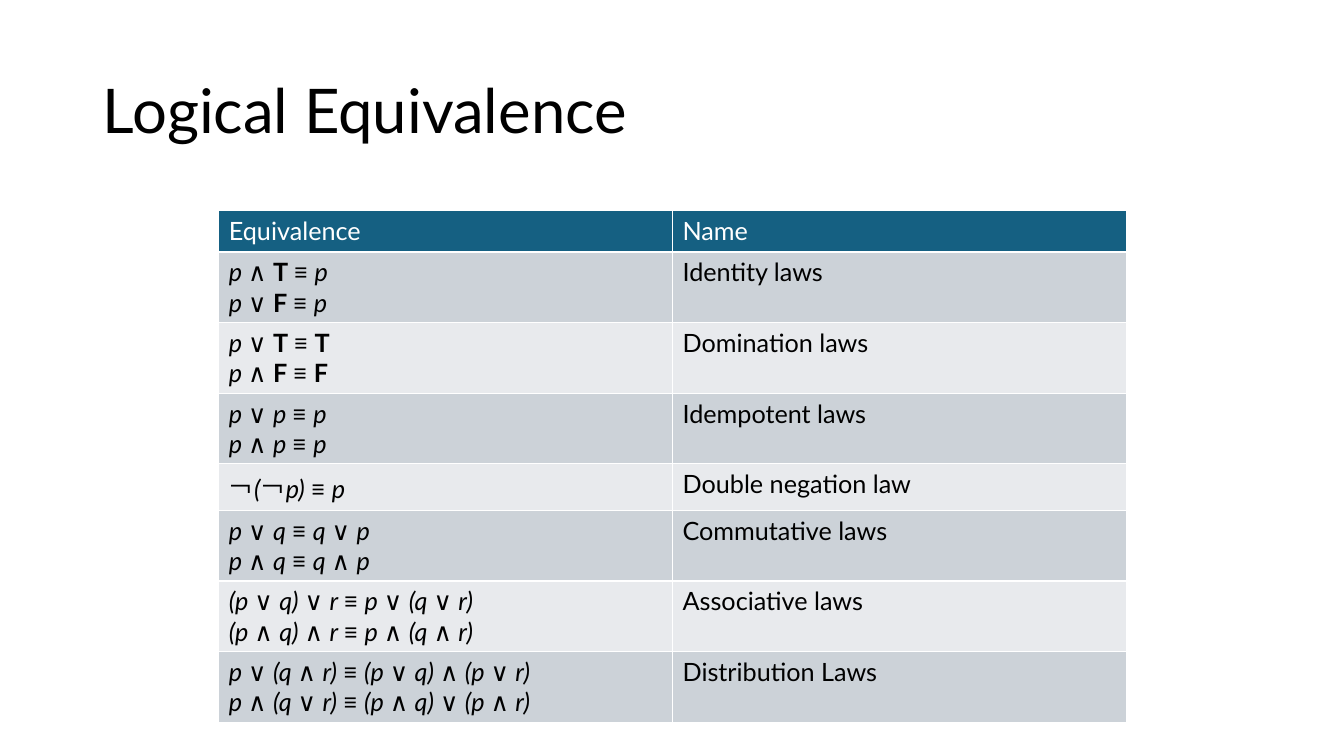
from dataclasses import dataclass
from itertools import groupby

from pptx import Presentation
from pptx.dml.color import RGBColor
from pptx.enum.text import MSO_ANCHOR, MSO_AUTO_SIZE, PP_ALIGN
from pptx.util import Inches, Pt

LEFT = PP_ALIGN.LEFT
MIDDLE = MSO_ANCHOR.MIDDLE
NO_AUTOFIT = MSO_AUTO_SIZE.NONE
TITLE_ONLY = 5


@dataclass(frozen=True)
class Theme:
    font: str = "Lato"
    title_size: int = 44
    table_size: int = 18
    dark: str = "000000"
    light: str = "FFFFFF"
    header: str = "156082"
    bands: tuple = ("CCD2D8", "E8EAED")


THEME = Theme()
SLIDE_SIZE = (13.33, 7.5)
TITLE_BOX = (0.92, 0.4, 11.5, 1.45)
TABLE_BOX = (2.17, 2.09, 9, 5.01)
ROW_HEIGHT = 0.41
OPERATORS = "∧∨≡￢"
CONSTANTS = "TF"
STYLES = {
    "operator": {"italic": False, "bold": False},
    "constant": {"italic": False, "bold": True},
    "variable": {"italic": True, "bold": False},
}
HEADINGS = ("Equivalence", "Name")
LAWS = [
    (["p ∧ T ≡ p", "p ∨ F ≡ p"], "Identity laws"),
    (["p ∨ T ≡ T", "p ∧ F ≡ F"], "Domination laws"),
    (["p ∨ p ≡ p", "p ∧ p ≡ p"], "Idempotent laws"),
    (["￢(￢p) ≡ p"], "Double negation law"),
    (["p ∨ q ≡ q ∨ p", "p ∧ q ≡ q ∧ p"], "Commutative laws"),
    (["(p ∨ q) ∨ r ≡ p ∨ (q ∨ r)", "(p ∧ q) ∧ r ≡ p ∧ (q ∧ r)"], "Associative laws"),
    (["p ∨ (q ∧ r) ≡ (p ∨ q) ∧ (p ∨ r)", "p ∧ (q ∨ r) ≡ (p ∧ q) ∨ (p ∧ r)"],
     "Distribution Laws"),
]


def set_font(font, size, color, **style):
    values = {"name": THEME.font, "size": Pt(size), **style}
    for name, value in values.items():
        setattr(font, name, value)
    font.color.rgb = RGBColor.from_string(color)


def symbol_kinds(formula):
    kind = "variable"
    for symbol in formula:
        if symbol in OPERATORS:
            kind = "operator"
        elif symbol in CONSTANTS:
            kind = "constant"
        elif symbol != " ":
            kind = "variable"
        yield kind, symbol


def write_formula(paragraph, formula):
    for kind, symbols in groupby(symbol_kinds(formula), key=lambda pair: pair[0]):
        run = paragraph.add_run()
        run.text = "".join(symbol for _, symbol in symbols)
        set_font(run.font, THEME.table_size, THEME.dark, **STYLES[kind])


def write_label(cell, text, color, **style):
    run = cell.text_frame.paragraphs[0].add_run()
    run.text = text
    set_font(run.font, THEME.table_size, color, **style)


def fill_cell(cell, color):
    cell.fill.solid()
    cell.fill.fore_color.rgb = RGBColor.from_string(color)


def add_title(slide, box, text):
    title = slide.shapes.title
    for name, value in zip(("left", "top", "width", "height"), box):
        setattr(title, name, Inches(value))
    frame = title.text_frame
    frame.text = text
    frame.vertical_anchor = MIDDLE
    frame.auto_size = NO_AUTOFIT
    paragraph = frame.paragraphs[0]
    paragraph.alignment = LEFT
    paragraph.line_spacing = 0.9
    set_font(paragraph.runs[0].font, THEME.title_size, THEME.dark)


def add_law_table(slide, box):
    graphic_frame = slide.shapes.add_table(
        len(LAWS) + 1, len(HEADINGS), *map(Inches, box))
    table = graphic_frame.table
    for row in table.rows:
        row.height = Inches(ROW_HEIGHT)
    graphic_frame.height = Inches(box[3])
    for column, heading in enumerate(HEADINGS):
        cell = table.cell(0, column)
        fill_cell(cell, THEME.header)
        write_label(cell, heading, THEME.light, bold=False)
    for index, (formulas, name) in enumerate(LAWS):
        formula_cell, name_cell = table.rows[index + 1].cells
        for cell in (formula_cell, name_cell):
            fill_cell(cell, THEME.bands[index % len(THEME.bands)])
        frame = formula_cell.text_frame
        for line, formula in enumerate(formulas):
            paragraph = frame.add_paragraph() if line else frame.paragraphs[0]
            write_formula(paragraph, formula)
        write_label(name_cell, name, THEME.dark)


def main():
    presentation = Presentation()
    presentation.slide_width, presentation.slide_height = map(Inches, SLIDE_SIZE)
    slide = presentation.slides.add_slide(presentation.slide_layouts[TITLE_ONLY])
    add_title(slide, TITLE_BOX, "Logical Equivalence")
    add_law_table(slide, TABLE_BOX)
    presentation.save("out.pptx")


if __name__ == "__main__":
    main()
